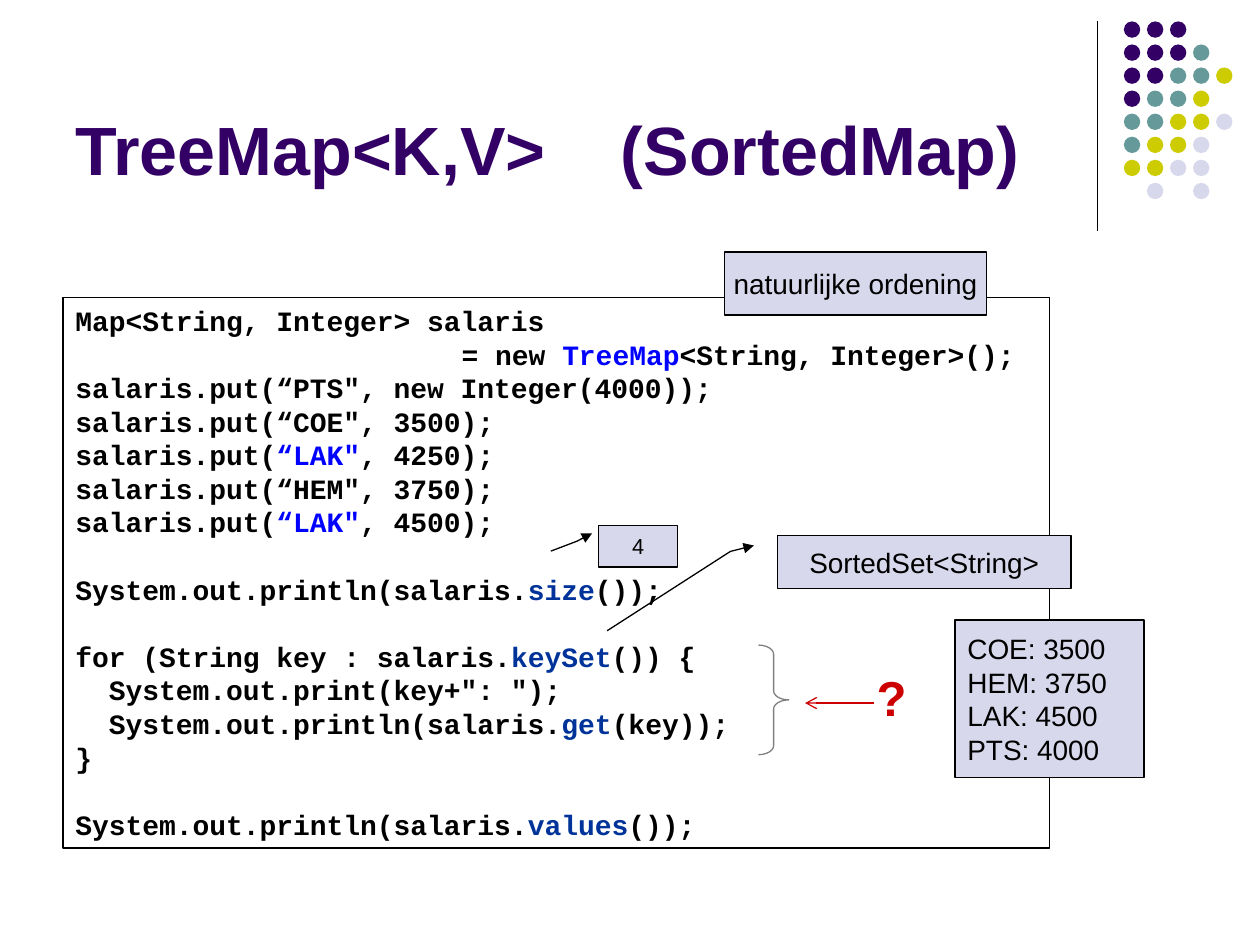
from dataclasses import dataclass
from typing import Optional

from lxml.etree import SubElement
from pptx import Presentation
from pptx.dml.color import RGBColor
from pptx.enum.shapes import MSO_CONNECTOR as Link, MSO_SHAPE as Kind
from pptx.enum.text import MSO_ANCHOR as Anchor, PP_ALIGN as Align
from pptx.oxml.ns import qn
from pptx.util import Inches, Pt

BLACK = RGBColor(0x00, 0x00, 0x00)
PURPLE = RGBColor(0x33, 0x00, 0x66)
TEAL = RGBColor(0x66, 0x99, 0x99)
LIME = RGBColor(0xCC, 0xCC, 0x00)
PALE = RGBColor(0xD8, 0xD8, 0xEC)
BLUE = RGBColor(0x00, 0x00, 0xFF)
NAVY = RGBColor(0x00, 0x33, 0x99)
RED = RGBColor(0xCC, 0x00, 0x00)
GRAY = RGBColor(0x80, 0x80, 0x80)
THIN = Pt(0.74)
PITCH = Pt(19.2)
CHAR = 9.6  # width of one code character in points


@dataclass
class Code:
    start: str
    key: str = ""
    end: str = ""
    color: RGBColor = BLACK
    indent: int = 0
    gap: bool = False


@dataclass
class Note:
    text: str
    box: tuple
    size: float = 16
    align: Align = Align.CENTER
    wrap: bool = True
    kind: Kind = Kind.RECTANGLE
    bends: Optional[tuple] = None


CODE = [
    Code("Map<String, Integer> salaris"),
    Code("= new ", "TreeMap", "<String, Integer>();", BLUE, indent=23),
    Code("salaris.put(“PTS\", new Integer(4000));"),
    Code("salaris.put(“COE\", 3500);"),
    Code("salaris.put(", "“LAK\"", ", 4250);", BLUE),
    Code("salaris.put(“HEM\", 3750);"),
    Code("salaris.put(", "“LAK\"", ", 4500);", BLUE),
    Code("System.out.println(salaris.", "size", "());", NAVY, gap=True),
    Code("for (String key : salaris.", "keySet", "()) {", NAVY, gap=True),
    Code("System.out.print(key+\": \");", indent=2),
    Code("System.out.println(salaris.", "get", "(key));", NAVY, indent=2),
    Code("}"),
    Code("System.out.println(salaris.", "values", "());", NAVY, gap=True),
]

NOTES = [
    Note("natuurlijke ordening", (5.75, 2, 2.08, 0.5), wrap=False),
    Note("COE: 3500\nHEM: 3750\nLAK: 4500\nPTS: 4000",
         (7.58, 4.92, 1.5, 1.25), align=Align.LEFT, wrap=False),
    Note("SortedSet<String>", (6.17, 4.25, 2.33, 0.42), kind=Kind.LINE_CALLOUT_2,
         bends=(0.19, -0.08, 0.3, -0.16, 1.8, -0.58)),
    Note("4", (4.75, 4.17, 0.63, 0.33), 12.4, kind=Kind.LINE_CALLOUT_2,
         bends=(0.19, -0.08, 0.38, -0.27, 0.62, -0.6)),
]

DOTS = ["PPP", "PPPT", "PPTTL", "PTTL", "TTLLV", "TLLV", "LLVV", " V V"]
TONES = {"P": PURPLE, "T": TEAL, "L": LIME, "V": PALE}

deck = Presentation()
deck.slide_width, deck.slide_height = Inches(10), Inches(7.5)
slide = deck.slides.add_slide(deck.slide_layouts[6])


def style(run, size: float, color: RGBColor, bold: bool = False,
          name: str = "Arial") -> None:
    run.font.name, run.font.size, run.font.bold = name, Pt(size), bold
    run.font.color.rgb = color


def shape(kind: Kind, box: tuple, fill: Optional[RGBColor] = None,
          line: Optional[RGBColor] = None):
    item = slide.shapes.add_shape(kind, *map(Inches, box))
    item.shadow.inherit = False
    if fill is None:
        item.fill.background()
    else:
        item.fill.solid()
        item.fill.fore_color.rgb = fill
    if line is None:
        item.line.fill.background()
    else:
        item.line.color.rgb, item.line.width = line, THIN
    return item


def rule(start: tuple, end: tuple, color: RGBColor):
    item = slide.shapes.add_connector(Link.STRAIGHT, *map(Inches, start + end))
    item.line.color.rgb, item.line.width = color, THIN
    SubElement(item._element.spPr, qn("a:effectLst"))
    return item


def tip(item, end: str, kind: str) -> None:
    SubElement(item.line._get_or_add_ln(), qn(f"a:{end}"), type=kind)


def label(text: str, box: tuple, size: float, color: RGBColor, anchor: Anchor):
    item = slide.shapes.add_textbox(*map(Inches, box))
    frame = item.text_frame
    frame.word_wrap, frame.vertical_anchor = True, anchor
    frame.text = text
    style(frame.paragraphs[0].runs[0], size, color, True)
    return frame.paragraphs[0]


def listing(lines: list, box: tuple) -> None:
    frame = shape(Kind.RECTANGLE, box, line=BLACK).text_frame
    frame.word_wrap, frame.vertical_anchor = True, Anchor.TOP
    for i, line in enumerate(lines):
        para = frame.add_paragraph() if i else frame.paragraphs[0]
        para.alignment, para.line_spacing = Align.LEFT, PITCH
        if line.gap:
            para.space_before = PITCH
        if line.indent:
            para._p.get_or_add_pPr().set("marL", str(Pt(line.indent * CHAR)))
        parts = (line.start, BLACK), (line.key, line.color), (line.end, BLACK)
        for text, color in parts:
            if text:
                run = para.add_run()
                run.text = text
                style(run, 16, color, True, "Courier New")


def draw(note: Note) -> None:
    item = shape(note.kind, note.box, PALE, BLACK)
    if note.bends:
        for i, value in enumerate(note.bends):
            item.adjustments[i] = value
        tip(item, "headEnd", "triangle")
    frame = item.text_frame
    frame.word_wrap, frame.vertical_anchor = note.wrap, Anchor.MIDDLE
    frame.text = note.text
    for para in frame.paragraphs:
        para.alignment = note.align
        if len(frame.paragraphs) > 1:
            para.line_spacing = PITCH
        style(para.runs[0], note.size, BLACK)


# Corner rule and dot grid
rule((8.71, 0.17), (8.71, 1.83), BLACK)
for row, marks in enumerate(DOTS):
    for col, mark in enumerate(marks):
        if mark in TONES:
            spot = (8.92 + col * 0.183, 0.17 + row * 0.183, 0.13, 0.13)
            shape(Kind.OVAL, spot, TONES[mark])

# Title, its second part set at a tab stop
title = label("TreeMap<K,V>\t(SortedMap)", (0.5, 0.13, 8.25, 1.42), 39,
              PURPLE, Anchor.BOTTOM)
tabs = SubElement(title._p.get_or_add_pPr(), qn("a:tabLst"))
SubElement(tabs, qn("a:tab"), pos=str(Inches(4.33)), algn="l")

# Code with its brace
listing(CODE, (0.5, 2.36, 7.83, 4.37))
brace = shape(Kind.RIGHT_BRACE, (6.02, 5.12, 0.24, 0.87), line=GRAY)
brace.adjustments[0] = 0.3

# Notes, question mark and arrow
for note in NOTES[:2]:
    draw(note)
label("?", (6.86, 5.25, 0.47, 0.57), 28, RED, Anchor.TOP)
arrow = rule((6.94, 5.58), (6.39, 5.58), RED)
tip(arrow, "tailEnd", "arrow")
for note in NOTES[2:]:
    draw(note)

deck.save("out.pptx")
